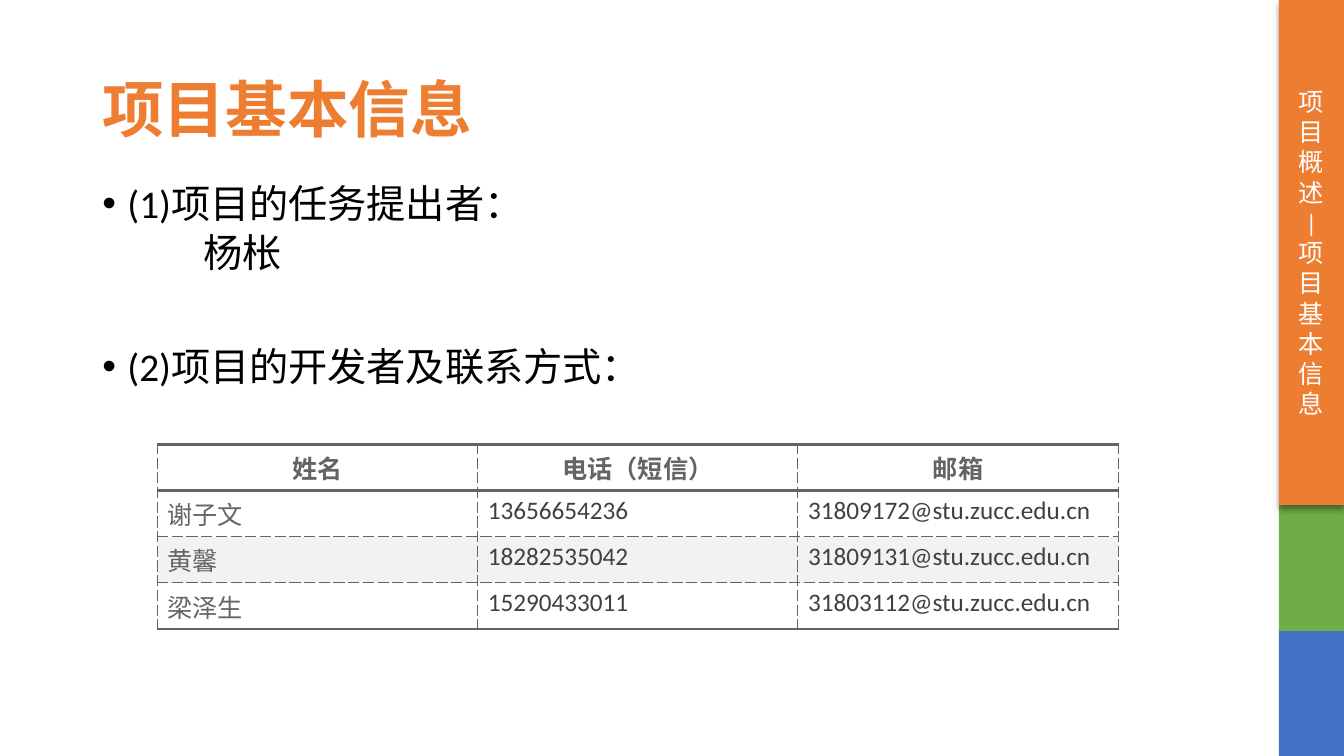
"""Build the slide with basic project information and a contact table."""
from dataclasses import dataclass

import lxml.etree
import pptx
import pptx.dml.color
import pptx.enum.shapes
import pptx.enum.text
import pptx.oxml
import pptx.oxml.ns
import pptx.shapes.autoshape
import pptx.slide
import pptx.table
import pptx.text.text
import pptx.util

RGBColor = pptx.dml.color.RGBColor
ORANGE = RGBColor(0xED, 0x7D, 0x31)
GREEN = RGBColor(0x70, 0xAD, 0x47)
BLUE = RGBColor(0x44, 0x72, 0xC4)
WHITE = RGBColor(0xFF, 0xFF, 0xFF)
BLACK = RGBColor(0, 0, 0)
GREY = RGBColor(0x64, 0x64, 0x64)
DARK = RGBColor(0x40, 0x40, 0x40)
PALE = RGBColor(0xF2, 0xF2, 0xF2)

SCALE = 9525
FONT = "Calibri"
CENTER = pptx.enum.text.PP_ALIGN.CENTER
LEFT = pptx.enum.text.PP_ALIGN.LEFT
MIDDLE = pptx.enum.text.MSO_ANCHOR.MIDDLE


@dataclass(frozen=True)
class Box:
    left: int
    top: int
    width: int
    height: int

    def emu(self) -> tuple[int, ...]:
        return tuple(px(n) for n in (self.left, self.top, self.width, self.height))


@dataclass(frozen=True)
class Bar:
    box: Box
    color: RGBColor
    lines: tuple[str, ...] = ()
    shadow: bool = False


@dataclass(frozen=True)
class Line:
    text: str
    before: int
    indent: int
    bullet: bool = False


BARS = (
    Bar(Box(1218, 481, 62, 121), GREEN),
    Bar(Box(1218, 0, 62, 481), ORANGE, ("项目概述", "|", "项目基本信息"), True),
    Bar(Box(1218, 601, 62, 119), BLUE),
)
LINES = (
    Line("(1)项目的任务提出者：", 0, 24, True),
    Line("杨枨", 5, 96),
    Line("(2)项目的开发者及联系方式：", 51, 24, True),
)
ROWS = (
    ("姓名", "电话（短信）", "邮箱"),
    ("谢子文", "13656654236", "31809172@stu.zucc.edu.cn"),
    ("黄馨", "18282535042", "31809131@stu.zucc.edu.cn"),
    ("梁泽生", "15290433011", "31803112@stu.zucc.edu.cn"),
)
GRID = Box(150, 423, 915, 176)


def px(count: int) -> int:
    return pptx.util.Emu(count * SCALE)


def style(para: pptx.text.text._Paragraph, size: int, color: RGBColor, bold: bool = False) -> None:
    para.font.name = FONT
    para.font.size = pptx.util.Pt(size)
    para.font.bold = bold
    para.font.color.rgb = color


def add_frame(slide: pptx.slide.Slide, box: Box) -> pptx.text.text.TextFrame:
    frame = slide.shapes.add_textbox(*box.emu()).text_frame
    frame.word_wrap = True
    return frame


def add_title(slide: pptx.slide.Slide) -> None:
    frame = add_frame(slide, Box(88, 38, 755, 139))
    frame.vertical_anchor = MIDDLE
    para = frame.paragraphs[0]
    para.text = "项目基本信息"
    para.line_spacing = 0.9
    style(para, 44, ORANGE, True)


def add_body(slide: pptx.slide.Slide) -> None:
    frame = add_frame(slide, Box(88, 171, 1104, 511))
    for i, line in enumerate(LINES):
        para = frame.add_paragraph() if i else frame.paragraphs[0]
        para.text = line.text
        para.line_spacing = 0.9
        para.space_before = pptx.util.Pt(line.before)
        props = para._p.get_or_add_pPr()
        props.set("marL", str(px(line.indent)))
        if line.bullet:
            props.set("indent", str(px(-line.indent)))
            font = lxml.etree.SubElement(props, pptx.oxml.ns.qn("a:buFont"))
            font.set("typeface", "Arial")
            mark = lxml.etree.SubElement(props, pptx.oxml.ns.qn("a:buChar"))
            mark.set("char", "•")
        style(para, 28, BLACK)


def cast_shadow(shape: pptx.shapes.autoshape.Shape) -> None:
    blur, dist = pptx.util.Pt(4), pptx.util.Pt(3)
    glow = pptx.oxml.parse_xml(
        f'<a:outerShdw {pptx.oxml.ns.nsdecls("a")} blurRad="{blur}" dist="{dist}" '
        'dir="5400000" algn="t" rotWithShape="0"><a:srgbClr val="000000">'
        '<a:alpha val="40000"/></a:srgbClr></a:outerShdw>'
    )
    shape._element.spPr.find(pptx.oxml.ns.qn("a:effectLst")).append(glow)


def add_bar(slide: pptx.slide.Slide, bar: Bar) -> None:
    kind = pptx.enum.shapes.MSO_SHAPE.RECTANGLE
    shape = slide.shapes.add_shape(kind, *bar.box.emu())
    shape.shadow.inherit = False
    shape.fill.solid()
    shape.fill.fore_color.rgb = bar.color
    shape.line.fill.background()
    if bar.shadow:
        cast_shadow(shape)
    frame = shape.text_frame
    frame.word_wrap = True
    frame.vertical_anchor = MIDDLE
    for i, text in enumerate(bar.lines):
        para = frame.add_paragraph() if i else frame.paragraphs[0]
        para.text = text
        para.alignment = CENTER
        style(para, 18, WHITE)


def set_edges(cell: pptx.table._Cell, row: int) -> None:
    last = len(ROWS) - 1
    thick = {"T": row < 2, "B": row in (0, last)}
    for i, side in enumerate("LRTB"):
        bold = thick.get(side, False)
        width = pptx.util.Pt(2.25 if bold else 0.75)
        dash = "solid" if bold else "sysDash"
        edge = pptx.oxml.parse_xml(
            f'<a:ln{side} {pptx.oxml.ns.nsdecls("a")} w="{width}">'
            f'<a:solidFill><a:srgbClr val="{GREY}"/></a:solidFill>'
            f'<a:prstDash val="{dash}"/></a:ln{side}>'
        )
        cell._tc.get_or_add_tcPr().insert(i, edge)


def add_grid(slide: pptx.slide.Slide) -> None:
    frame = slide.shapes.add_table(len(ROWS), len(ROWS[0]), *GRID.emu())
    table = frame.table
    table.first_row = False
    table.horz_banding = False
    for row, texts in enumerate(ROWS):
        for col, text in enumerate(texts):
            cell = table.cell(row, col)
            cell.fill.solid()
            cell.fill.fore_color.rgb = PALE if row == 2 else WHITE
            set_edges(cell, row)
            para = cell.text_frame.paragraphs[0]
            para.text = text
            para.alignment = LEFT if row else CENTER
            style(para, 18, DARK if row and col else GREY, row == 0)


def main() -> None:
    deck = pptx.Presentation()
    deck.slide_width, deck.slide_height = px(1280), px(720)
    slide = deck.slides.add_slide(deck.slide_layouts[6])
    add_title(slide)
    add_body(slide)
    for bar in BARS:
        add_bar(slide, bar)
    add_grid(slide)
    deck.save("out.pptx")


if __name__ == "__main__":
    main()
